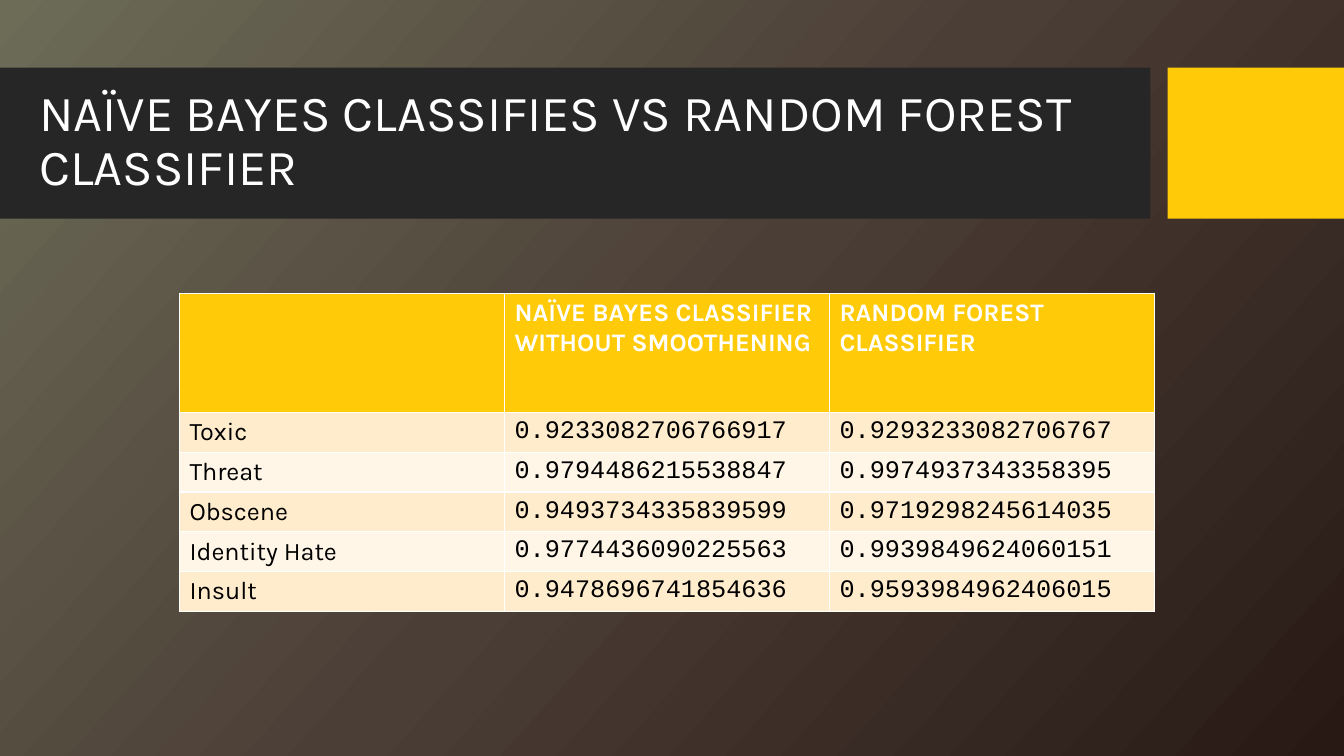
import copy
import dataclasses

import pptx
import pptx.dml.color
import pptx.enum.shapes
import pptx.enum.text
import pptx.oxml.ns
import pptx.util

Inches = pptx.util.Inches


@dataclasses.dataclass(frozen=True)
class Theme:
    back: tuple = ((0, "6C6C57"), (0.5, "4B3E36"), (1, "281915"))
    angle: int = 318
    band: str = "262626"
    accent: str = "FFCA08"
    stripes: tuple = ("FFECCC", "FFF6E7")
    light: str = "FFFFFF"
    dark: str = "000000"
    sans: str = "Karla"
    mono: str = "Courier New"
    head: int = 36
    body: int = 18


THEME = Theme()
TITLE = "NAÏVE BAYES CLASSIFIES VS RANDOM FOREST CLASSIFIER"
ROWS = (
    ("", "NAÏVE BAYES CLASSIFIER WITHOUT SMOOTHENING", "RANDOM FOREST CLASSIFIER"),
    ("Toxic", "0.9233082706766917", "0.9293233082706767"),
    ("Threat", "0.9794486215538847", "0.9974937343358395"),
    ("Obscene", "0.9493734335839599", "0.9719298245614035"),
    ("Identity Hate", "0.9774436090225563", "0.9939849624060151"),
    ("Insult", "0.9478696741854636", "0.9593984962406015"),
)


def color(code):
    return pptx.dml.color.RGBColor.from_string(code)


def write(para, text, font, size, code, bold=False):
    run = para.add_run()
    run.text = text
    run.font.name = font
    run.font.size = pptx.util.Pt(size)
    run.font.bold = bold
    run.font.color.rgb = color(code)


def paint(slide):
    fill = slide.background.fill
    fill.gradient()
    fill.gradient_angle = THEME.angle
    stops = slide._element.find(".//" + pptx.oxml.ns.qn("a:gsLst"))
    stops.append(copy.deepcopy(stops[-1]))
    for stop, (place, code) in zip(slide.background.fill.gradient_stops, THEME.back):
        stop.position = place
        stop.color.rgb = color(code)


def block(slide, left, top, width, height, code):
    shape = slide.shapes.add_shape(
        pptx.enum.shapes.MSO_SHAPE.RECTANGLE,
        Inches(left), Inches(top), Inches(width), Inches(height))
    shape.shadow.inherit = False
    shape.fill.solid()
    shape.fill.fore_color.rgb = color(code)
    shape.line.fill.background()


def header(slide, left, top, width, height):
    side = 1.75
    gap = 0.17
    block(slide, left, top, width - side - gap, height, THEME.band)
    block(slide, left + width - side, top, side, height, THEME.accent)
    title = slide.shapes.title
    slide.shapes._spTree.append(title._element)
    title.left, title.top = Inches(left + 0.29), Inches(top + 0.15)
    title.width, title.height = Inches(11.11), Inches(height - 0.32)
    frame = title.text_frame
    frame.word_wrap = True
    frame.auto_size = pptx.enum.text.MSO_AUTO_SIZE.NONE
    frame.vertical_anchor = pptx.enum.text.MSO_ANCHOR.MIDDLE
    para = frame.paragraphs[0]
    para.alignment = pptx.enum.text.PP_ALIGN.LEFT
    para.line_spacing = 0.9
    write(para, TITLE, THEME.sans, THEME.head, THEME.light)


def scores(slide, left, top, width, height):
    first = 1.18
    table = slide.shapes.add_table(
        len(ROWS), len(ROWS[0]),
        Inches(left), Inches(top), Inches(width), Inches(height)).table
    for col in table.columns:
        col.width = Inches(width / len(ROWS[0]))
    for r, texts in enumerate(ROWS):
        top_row = r == 0
        table.rows[r].height = Inches(
            first if top_row else (height - first) / (len(ROWS) - 1))
        for c, text in enumerate(texts):
            cell = table.cell(r, c)
            cell.fill.solid()
            cell.fill.fore_color.rgb = color(
                THEME.accent if top_row else THEME.stripes[(r - 1) % 2])
            if text:
                font = THEME.sans if top_row or c == 0 else THEME.mono
                code = THEME.light if top_row else THEME.dark
                write(cell.text_frame.paragraphs[0], text, font,
                      THEME.body, code, top_row)


def main():
    deck = pptx.Presentation()
    deck.slide_width, deck.slide_height = Inches(13.33), Inches(7.5)
    slide = deck.slides.add_slide(deck.slide_layouts[5])
    paint(slide)
    header(slide, 0, 0.67, 13.33, 1.5)
    scores(slide, 1.78, 2.91, 9.67, 3.16)
    deck.save("out.pptx")


if __name__ == "__main__":
    main()
